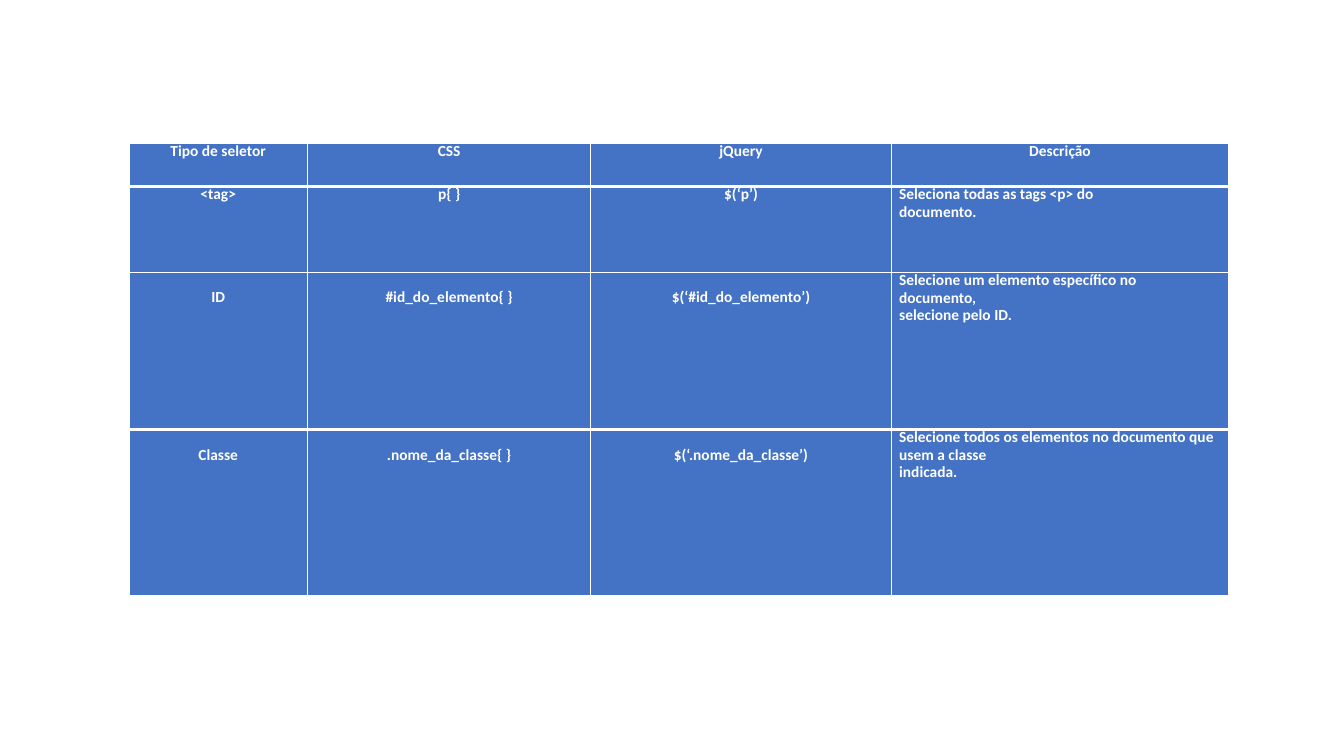
from lxml import etree
from pptx import Presentation
from pptx import util as u
from pptx.dml.color import RGBColor
from pptx.enum import text
from pptx.oxml import ns

WHITE = RGBColor(0xFF, 0xFF, 0xFF)
BLUE = RGBColor(0x44, 0x72, 0xC4)
THIN, THICK = u.Pt(1), u.Pt(3)

COLUMNS = [4.5, 7.14, 7.57, 8.51]
ROWS = [1.09, 2.16, 3.96, 4.19]
SELECTORS = [
    ["Tipo de seletor", "CSS", "jQuery", "Descrição"],
    ["<tag>", "p{ }", "$(‘p’)",
     "Seleciona todas as tags <p> do\ndocumento."],
    ["ID", "#id_do_elemento{ }", "$(‘#id_do_elemento’)",
     "Selecione um elemento específico no documento,\nselecione pelo ID."],
    ["Classe", ".nome_da_classe{ }", "$(‘.nome_da_classe’)",
     "Selecione todos os elementos no documento que usem a classe\nindicada."],
]


class SlideWriter:
    """Holds the text style and the current slide."""

    def __init__(self, page, font, size, leading):
        """Keep the page and the style used for all its text."""
        self.page, self.font = page, font
        self.size, self.leading = u.Pt(size), u.Pt(leading)

    def table(self, left, top, columns, rows):
        """Add a plain table with the given column widths and row heights in cm."""
        frame = self.page.shapes.add_table(
            len(rows), len(columns), u.Cm(left), u.Cm(top),
            u.Cm(sum(columns)), u.Cm(sum(rows)))
        grid = frame.table
        grid.horz_banding = False
        for column, width in zip(grid.columns, columns):
            column.width = u.Cm(width)
        for row, height in zip(grid.rows, rows):
            row.height = u.Cm(height)
        return grid

    def cell(self, cell, words, align, margins, borders):
        """Fill a cell; margins are left, top, right in cm, borders top, bottom."""
        left, top, right = (u.Cm(margin) for margin in margins)
        cell.margin_left, cell.margin_top, cell.margin_right = left, top, right
        cell.margin_bottom = 0
        self.borders(cell, *borders)
        cell.fill.solid()
        cell.fill.fore_color.rgb = BLUE
        for index, line in enumerate(words.split("\n")):
            frame = cell.text_frame
            para = frame.add_paragraph() if index else frame.paragraphs[0]
            para.alignment = align
            para.line_spacing = self.leading
            self.span(para, line)

    def span(self, para, words):
        """Add one run in the slide's style."""
        span = para.add_run()
        span.text = words
        span.font.name, span.font.size = self.font, self.size
        span.font.bold = True
        span.font.color.rgb = WHITE

    def borders(self, cell, top, bottom):
        """Draw white borders with the given top and bottom widths."""
        properties = cell._tc.get_or_add_tcPr()
        widths = {"a:lnL": THIN, "a:lnR": THIN, "a:lnT": top, "a:lnB": bottom}
        for index, (tag, width) in enumerate(widths.items()):
            line = etree.Element(ns.qn(tag), w=str(int(width)))
            fill = etree.SubElement(line, ns.qn("a:solidFill"))
            etree.SubElement(fill, ns.qn("a:srgbClr"), val=str(WHITE))
            properties.insert(index, line)


def main():
    """Build the slide with the table of selectors."""
    deck = Presentation()
    deck.slide_width, deck.slide_height = u.Cm(33.87), u.Cm(19.05)
    page = deck.slides.add_slide(deck.slide_layouts[6])
    writer = SlideWriter(page, "Calibri", 11, 12.5)
    grid = writer.table(3.25, 3.61, COLUMNS, ROWS)

    thick_edges = {1, 3}
    for r, row in enumerate(SELECTORS):
        borders = [THICK if edge in thick_edges else THIN for edge in (r, r + 1)]
        for c, words in enumerate(row):
            if r > 0 and c == 3:
                align = text.PP_ALIGN.LEFT
                margins = (0.2, 0, 0.75 if r == 2 else 0)
            else:
                align = text.PP_ALIGN.CENTER
                margins = (0, 0.44 if r >= 2 else 0, 0)
            writer.cell(grid.cell(r, c), words, align, margins, borders)
    deck.save("out.pptx")


main()
